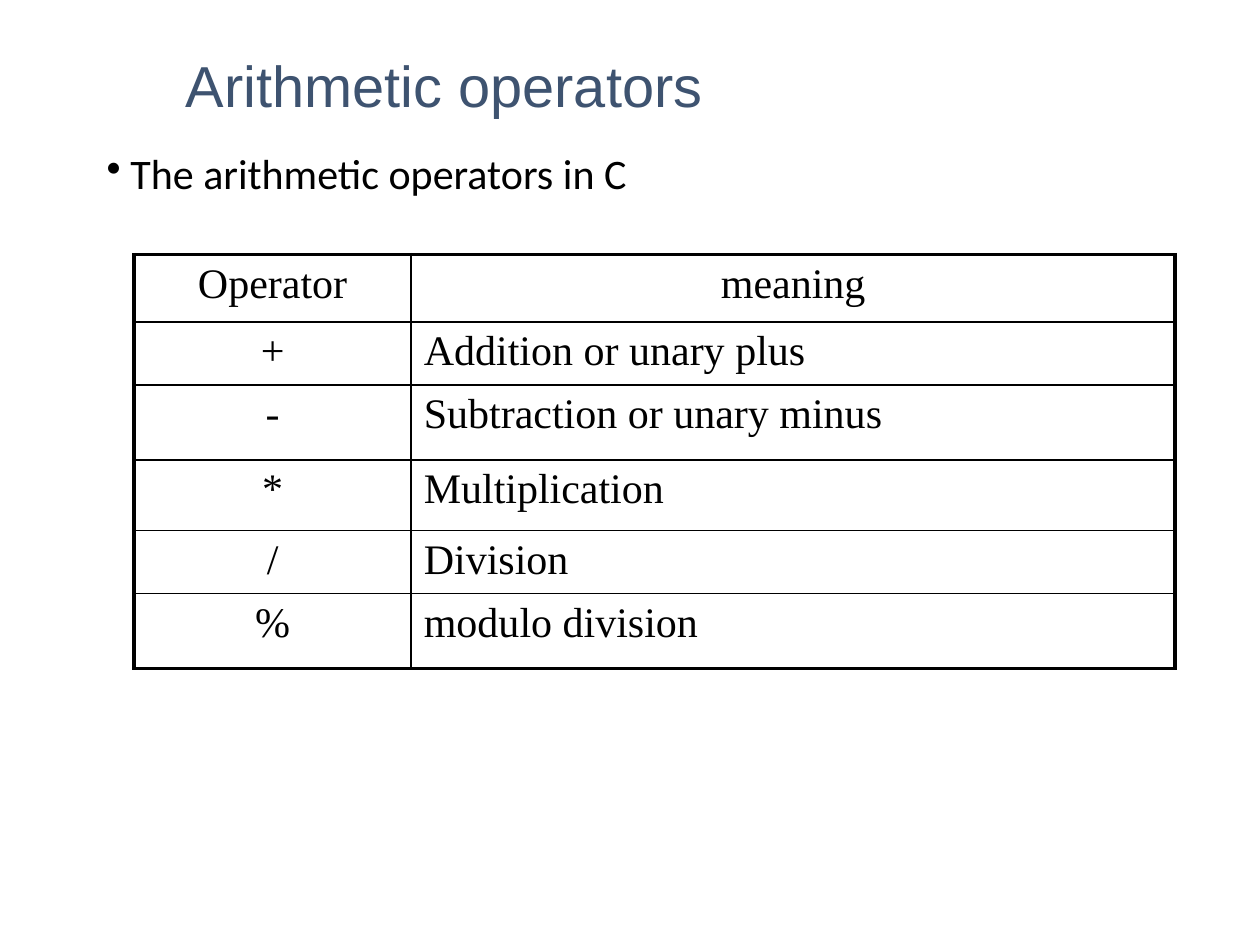
from lxml import etree
from pptx import Presentation
from pptx.dml.color import RGBColor
from pptx.enum import text
from pptx.oxml import ns
from pptx.util import Cm, Pt

TITLE = "Arithmetic operators"
BULLET = "The arithmetic operators in C"
ROWS = [
    ("Operator", "meaning"),
    ("+", "Addition or unary plus"),
    ("-", "Subtraction or unary minus"),
    ("*", "Multiplication"),
    ("/", "Division"),
    ("%", "modulo division"),
]
COLUMN_WIDTHS = [5.59, 15.4]
ROW_HEIGHTS = [1.36, 1.27, 1.51, 1.42, 1.27, 1.52]
THICK, THIN = Pt(2.25), Pt(1)
SLATE = RGBColor(0x3E, 0x53, 0x70)
BLACK = RGBColor(0, 0, 0)


def style(para, font, size, color):
    para.font.name = font
    para.font.size = Pt(size)
    para.font.color.rgb = color


def add_text(page, place, words, font, size, color, anchor):
    box = page.shapes.add_textbox(*[Cm(n) for n in place])
    box.text_frame.word_wrap = True
    box.text_frame.vertical_anchor = anchor
    para = box.text_frame.paragraphs[0]
    para.text = words
    para.line_spacing = 0.9
    style(para, font, size, color)
    return para


def indent(para, margin, first):
    props = para._p.get_or_add_pPr()
    props.set("marL", str(Cm(margin)))
    props.set("indent", str(Cm(first)))
    return props


def add_border(cell, side, width):
    line = etree.SubElement(cell._tc.get_or_add_tcPr(), ns.qn(f"a:ln{side}"), w=str(width))
    fill = etree.SubElement(line, ns.qn("a:solidFill"))
    etree.SubElement(fill, ns.qn("a:srgbClr"), val=str(BLACK))


def add_operator_table(page):
    frame = page.shapes.add_table(
        len(ROWS), len(COLUMN_WIDTHS), Cm(2.7), Cm(5.13),
        Cm(sum(COLUMN_WIDTHS)), Cm(sum(ROW_HEIGHTS)))
    table = frame.table
    table.first_row = table.horz_banding = False
    for column, width in zip(table.columns, COLUMN_WIDTHS):
        column.width = Cm(width)
    for r, (row, height) in enumerate(zip(table.rows, ROW_HEIGHTS)):
        row.height = Cm(height)
        for c, cell in enumerate(row.cells):
            outer = {"L": c == 0, "R": c == len(COLUMN_WIDTHS) - 1,
                     "T": r == 0, "B": r == len(ROWS) - 1}
            for side, is_outer in outer.items():
                add_border(cell, side, THICK if is_outer else THIN)
            cell.fill.background()
            cell.text = ROWS[r][c]
            para = cell.text_frame.paragraphs[0]
            centred = r == 0 or c == 0
            para.alignment = text.PP_ALIGN.CENTER if centred else text.PP_ALIGN.LEFT
            para.space_before = Pt(4.8)
            style(para, "Times New Roman", 24, BLACK)


def main():
    deck = Presentation()
    deck.slide_width, deck.slide_height = Cm(25.4), Cm(19.05)
    page = deck.slides.add_slide(deck.slide_layouts[6])

    title = add_text(page, (1.9, 0.2, 21.6, 3.18), TITLE, "Arial", 33, SLATE,
                     text.MSO_ANCHOR.MIDDLE)
    indent(title, 1.6, 0)

    bullet = add_text(page, (1.9, 2.97, 22, 1.96), BULLET, "Calibri", 24, BLACK,
                      text.MSO_ANCHOR.TOP)
    bullet.space_before = Pt(7.5)
    props = indent(bullet, 0.48, -0.48)
    mark = etree.Element(ns.qn("a:buChar"), char="•")
    props.find(ns.qn("a:defRPr")).addprevious(mark)

    add_operator_table(page)
    deck.save("out.pptx")


if __name__ == "__main__":
    main()
